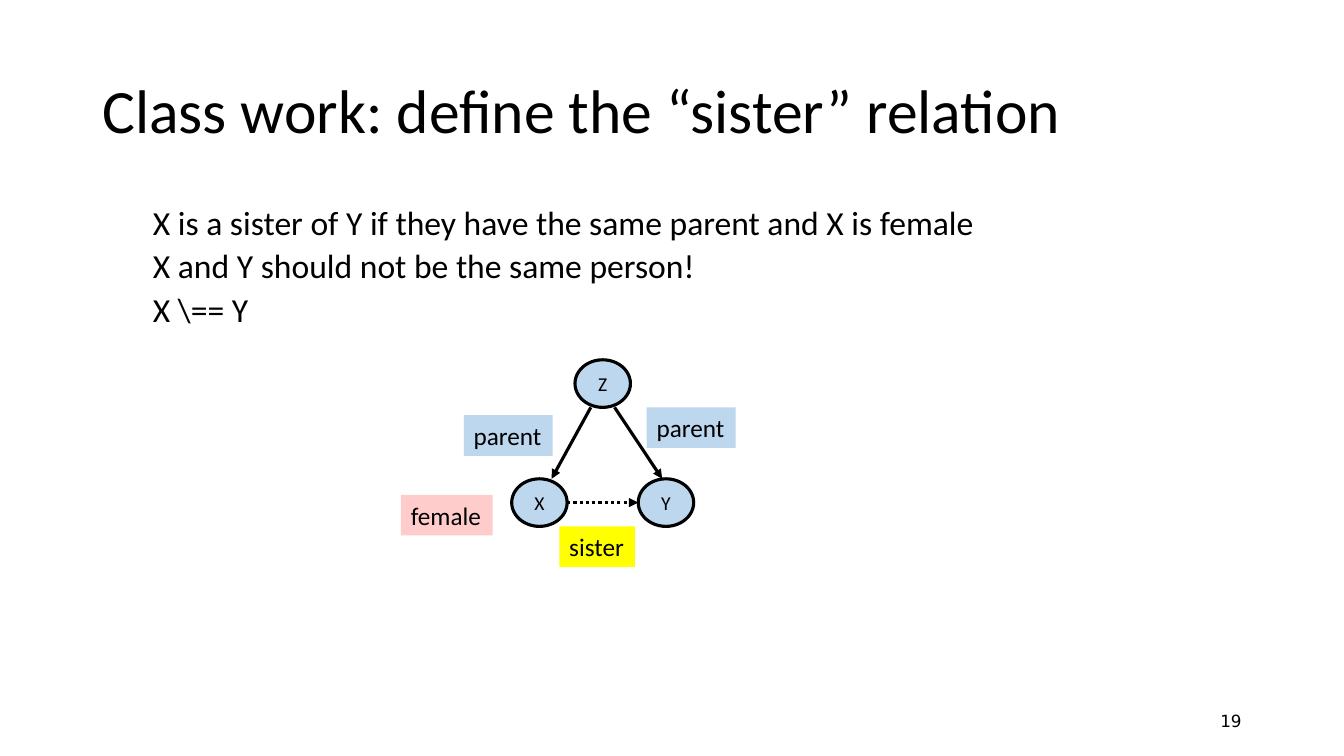
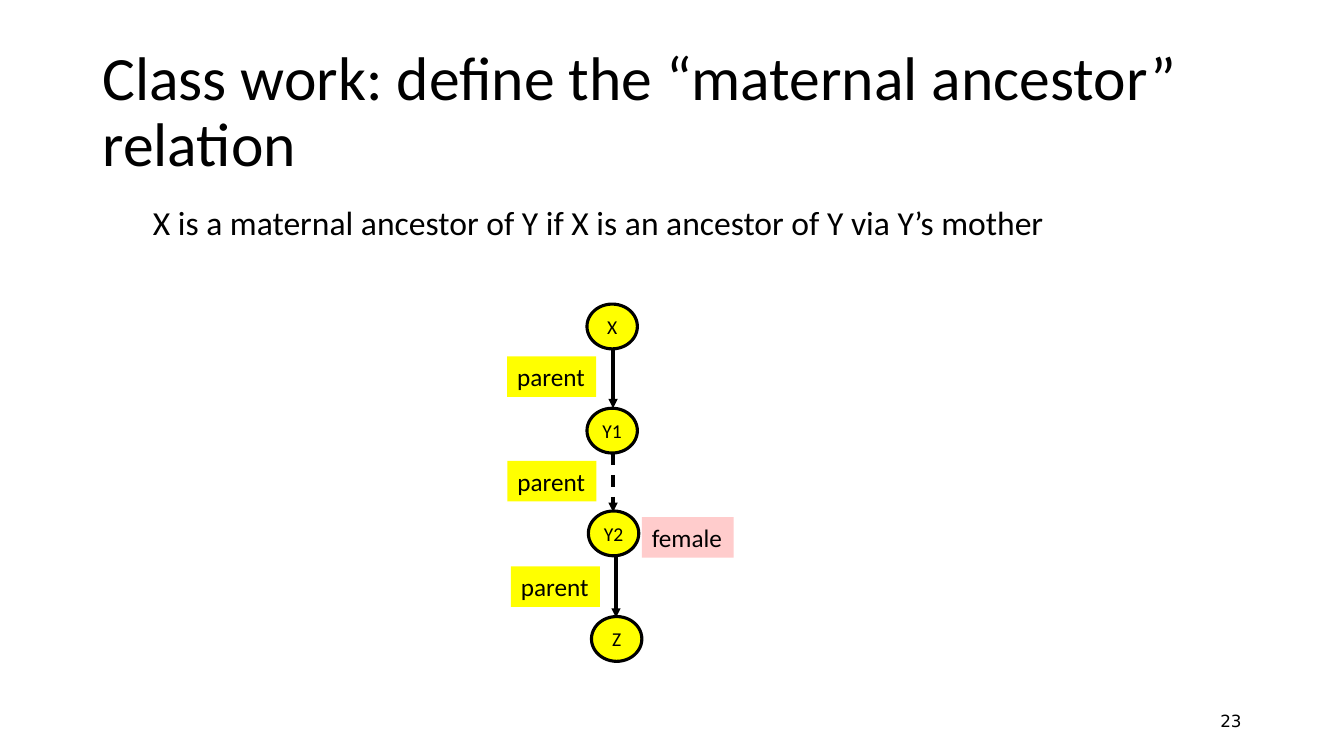
import dataclasses
import typing

import lxml.etree
import pptx
import pptx.dml.color
import pptx.enum.dml
import pptx.enum.shapes
import pptx.enum.text
import pptx.oxml.ns
import pptx.util

Pt = pptx.util.Pt
Align = pptx.enum.text.PP_ALIGN
Anchor = pptx.enum.text.MSO_ANCHOR
AutoSize = pptx.enum.text.MSO_AUTO_SIZE
Dash = pptx.enum.dml.MSO_LINE
AutoShape = pptx.enum.shapes.MSO_SHAPE

BLACK = "000000"
BLUE = "BDD7EE"
YELLOW = "FFFF00"
PINK = "FFCCCC"
BODY_FONT = "Calibri"
NUMBER_FONT = "DejaVu Sans"
LINE_WIDTH = 2.25
LABEL_HEIGHT = 29


@dataclasses.dataclass
class Node:
    text: str
    center_x: float
    center_y: float


@dataclasses.dataclass
class Label:
    text: str
    left: float
    top: float
    width: float
    fill: str


@dataclasses.dataclass
class Edge:
    start_x: float
    start_y: float
    end_x: float
    end_y: float
    dash: typing.Any = None


@dataclasses.dataclass
class Diagram:
    title: str
    lines: list[str]
    number: str
    node_size: tuple[float, float]
    node_fill: str
    nodes: list[Node]
    labels: list[Label]
    edges: list[Edge]


DIAGRAMS = [
    Diagram(
        title="Class work: define the “sister” relation",
        lines=[
            "X is a sister of Y if they have the same parent and X is female",
            "X and Y should not be the same person!",
            "X \\== Y",
        ],
        number="19",
        node_size=(39.6, 34),
        node_fill=BLUE,
        nodes=[Node("Z", 430.5, 274), Node("X", 385.3, 359), Node("Y", 475.7, 359)],
        labels=[
            Label("parent", 462, 291, 63.5, BLUE),
            Label("parent", 331.3, 296.6, 63.5, BLUE),
            Label("sister", 399.5, 376, 54, YELLOW),
            Label("female", 286.4, 353.5, 65.5, PINK),
        ],
        edges=[
            Edge(439, 291, 473, 342),
            Edge(422, 291, 394, 342),
            Edge(405.1, 359, 455.9, 359, Dash.ROUND_DOT),
        ],
    ),
    Diagram(
        title="Class work: define the “maternal ancestor” relation",
        lines=["X is a maternal ancestor of Y if X is an ancestor of Y via Y’s mother"],
        number="23",
        node_size=(36, 32),
        node_fill=YELLOW,
        nodes=[
            Node("X", 437.3, 233.2),
            Node("Y1", 437.3, 307.6),
            Node("Y2", 438.3, 381),
            Node("Z", 440.5, 456.4),
        ],
        labels=[
            Label("parent", 362.3, 254.5, 63.5, YELLOW),
            Label("parent", 362.5, 329.2, 63.5, YELLOW),
            Label("parent", 365, 404.6, 63.5, YELLOW),
            Label("female", 458.5, 369.3, 65.5, PINK),
        ],
        edges=[
            Edge(437.9, 249, 437.9, 291.6),
            Edge(437.9, 323.5, 437.9, 365.8, Dash.DASH),
            Edge(440, 398.2, 440, 441.2),
        ],
    ),
]


def color(value: str) -> pptx.dml.color.RGBColor:
    return pptx.dml.color.RGBColor.from_string(value)


def format_text(text_frame, size: float, align=Align.LEFT, font: str = BODY_FONT) -> None:
    for paragraph in text_frame.paragraphs:
        paragraph.alignment = align
        for run in paragraph.runs:
            run.font.size = Pt(size)
            run.font.name = font
            run.font.color.rgb = color(BLACK)


def place(shape, left: float, top: float, width: float, height: float) -> None:
    shape.left, shape.top = Pt(left), Pt(top)
    shape.width, shape.height = Pt(width), Pt(height)


def add_title(slide, text: str) -> None:
    title = slide.shapes.title
    place(title, 66, 28.8, 828, 104.4)
    text_frame = title.text_frame
    text_frame.text = text
    text_frame.word_wrap = True
    text_frame.auto_size = AutoSize.NONE
    text_frame.vertical_anchor = Anchor.MIDDLE
    text_frame.paragraphs[0].line_spacing = 0.9
    format_text(text_frame, 44)


def add_body(slide, lines: list[str]) -> None:
    text_frame = slide.shapes.add_textbox(Pt(66), Pt(144), Pt(828), Pt(342.7)).text_frame
    text_frame.text = "\n".join(lines)
    text_frame.word_wrap = True
    text_frame.margin_left = Pt(43.2)
    for paragraph in text_frame.paragraphs:
        paragraph.line_spacing = 0.9
        paragraph.space_before = Pt(5)
    format_text(text_frame, 24)


def add_number(slide, number: str) -> None:
    text_frame = slide.shapes.add_textbox(Pt(678), Pt(500.5), Pt(216), Pt(28.8)).text_frame
    text_frame.text = number
    text_frame.word_wrap = True
    text_frame.vertical_anchor = Anchor.MIDDLE
    format_text(text_frame, 12, Align.RIGHT, NUMBER_FONT)


def add_filled_shape(slide, kind, left: float, top: float, width: float, height: float,
                     fill: str, text: str):
    shape = slide.shapes.add_shape(kind, Pt(left), Pt(top), Pt(width), Pt(height))
    shape.shadow.inherit = False
    shape.fill.solid()
    shape.fill.fore_color.rgb = color(fill)
    shape.text_frame.text = text
    shape.text_frame.word_wrap = False
    return shape


def add_node(slide, node: Node, size: tuple[float, float], fill: str) -> None:
    width, height = size
    shape = add_filled_shape(slide, AutoShape.OVAL, node.center_x - width / 2,
                             node.center_y - height / 2, width, height, fill, node.text)
    shape.line.color.rgb = color(BLACK)
    shape.line.width = Pt(LINE_WIDTH)
    shape.text_frame.vertical_anchor = Anchor.MIDDLE
    format_text(shape.text_frame, 14, Align.CENTER)


def add_label(slide, label: Label) -> None:
    shape = add_filled_shape(slide, AutoShape.RECTANGLE, label.left, label.top,
                             label.width, LABEL_HEIGHT, label.fill, label.text)
    shape.line.fill.background()
    shape.text_frame.vertical_anchor = Anchor.TOP
    shape.text_frame.auto_size = AutoSize.SHAPE_TO_FIT_TEXT
    format_text(shape.text_frame, 18)


def add_edge(slide, edge: Edge) -> None:
    connector = slide.shapes.add_connector(
        pptx.enum.shapes.MSO_CONNECTOR.STRAIGHT,
        Pt(edge.start_x), Pt(edge.start_y), Pt(edge.end_x), Pt(edge.end_y))
    connector.line.color.rgb = color(BLACK)
    connector.line.width = Pt(LINE_WIDTH)
    if edge.dash is not None:
        connector.line.dash_style = edge.dash
    qualify = pptx.oxml.ns.qn
    properties = connector.element.spPr
    outline = properties.find(qualify("a:ln"))
    lxml.etree.SubElement(outline, qualify("a:tailEnd"), type="triangle")
    lxml.etree.SubElement(properties, qualify("a:effectLst"))


def add_diagram(presentation, diagram: Diagram) -> None:
    slide = presentation.slides.add_slide(presentation.slide_layouts[5])
    add_title(slide, diagram.title)
    add_body(slide, diagram.lines)
    add_number(slide, diagram.number)
    for edge in diagram.edges:
        add_edge(slide, edge)
    for node in diagram.nodes:
        add_node(slide, node, diagram.node_size, diagram.node_fill)
    for label in diagram.labels:
        add_label(slide, label)


def main() -> None:
    presentation = pptx.Presentation()
    presentation.slide_width = Pt(960)
    presentation.slide_height = Pt(540)
    for diagram in DIAGRAMS:
        add_diagram(presentation, diagram)
    presentation.save("out.pptx")


if __name__ == "__main__":
    main()
